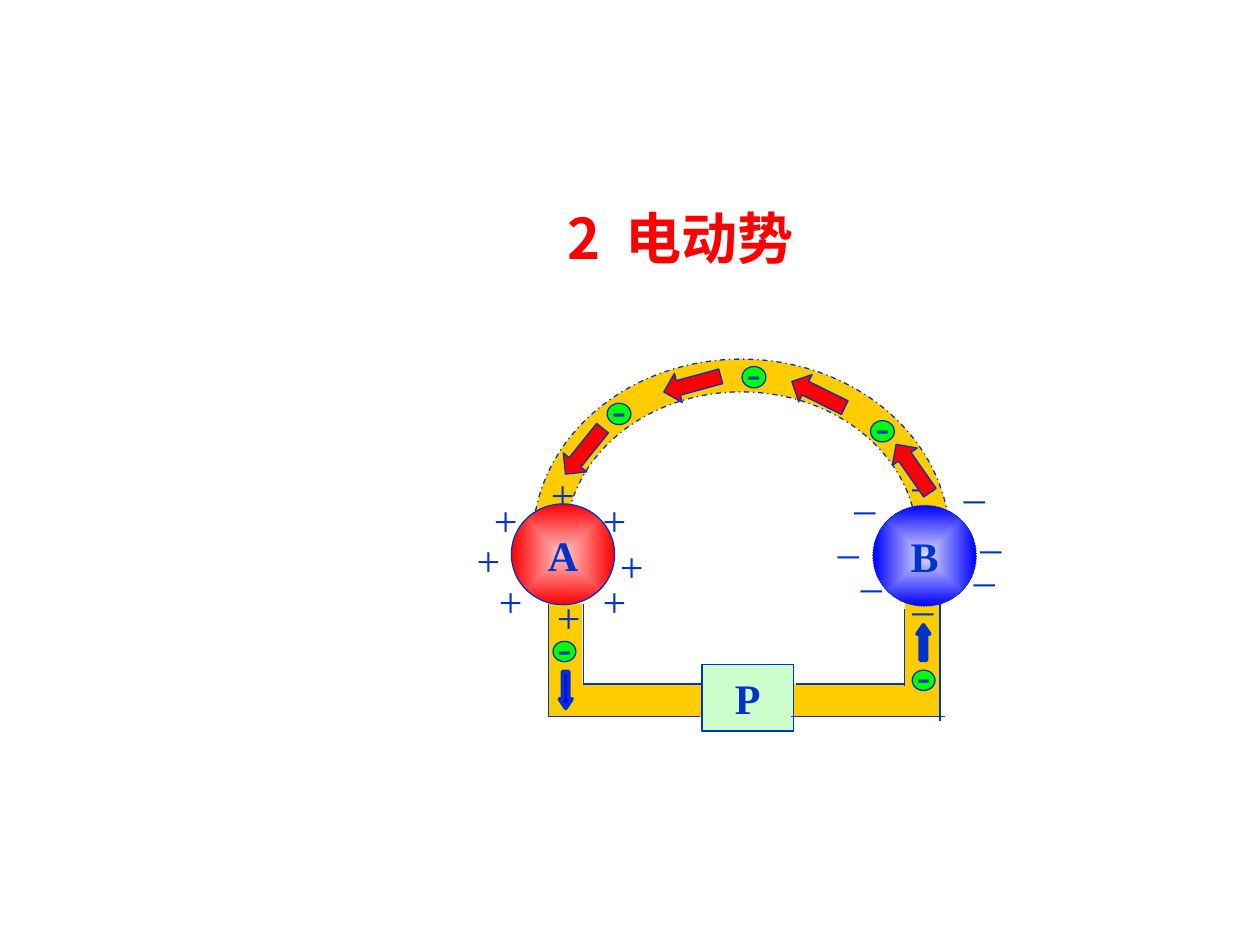
from dataclasses import dataclass

from lxml.etree import SubElement
from pptx import Presentation
from pptx.dml.color import RGBColor as RGB
from pptx.enum.dml import MSO_LINE as DASH
from pptx.enum.shapes import MSO_CONNECTOR as CONN, MSO_SHAPE as SHAPE
from pptx.enum.text import MSO_ANCHOR as ANCHOR, MSO_AUTO_SIZE as FIT, PP_ALIGN as ALIGN
from pptx.oxml.ns import qn
from pptx.util import Cm, Pt


@dataclass(frozen=True)
class Theme:
    ink: str = "0033CC"
    red: str = "FF0000"
    blue: str = "0000FF"
    wire: str = "FFCC00"
    charge: str = "00FF00"
    device: str = "CCFFCC"
    red_core: str = "FEC5C5"
    blue_core: str = "DEDEFE"
    title_font: str = "Noto Sans CJK SC"
    label_font: str = "Times New Roman"
    title_size: float = 32
    label_size: float = 24
    thin: float = 0.75
    thick: float = 2.25


def write(tf, text, *, font, size, color, bold=False, wrap=False, anchor=ANCHOR.TOP,
          fit=FIT.NONE, top=0.13, bottom=0.13, spacing=None):
    tf.word_wrap, tf.vertical_anchor, tf.auto_size = wrap, anchor, fit
    tf.margin_left = tf.margin_right = Cm(0.25)
    tf.margin_top, tf.margin_bottom = Cm(top), Cm(bottom)
    p = tf.paragraphs[0]
    p.alignment = ALIGN.CENTER
    p.line_spacing = spacing
    r = p.add_run()
    r.text = text
    r.font.name, r.font.size, r.font.bold = font, Pt(size), bold
    r.font.color.rgb = RGB.from_string(color)
    SubElement(r.font._element, qn("a:ea"), typeface=font)


class Diagram:
    def __init__(self, s, theme):
        self.s, self.theme = s, theme
        self.items = s.shapes

    def group(self):
        self.items = self.s.shapes.add_group_shape().shapes

    def ungroup(self):
        self.items = self.s.shapes

    def title(self, text, x, y, w, h):
        t = self.theme
        sp = self.s.shapes.title
        sp.left, sp.top, sp.width, sp.height = Cm(x), Cm(y), Cm(w), Cm(h)
        write(sp.text_frame, text, font=t.title_font, size=t.title_size, color=t.red,
              bold=True, wrap=True, fit=FIT.SHAPE_TO_FIT_TEXT, spacing=1.2)

    def shape(self, kind, x, y, w, h, fill, width=None, dash=None, turn=0, adj=()):
        sp = self.items.add_shape(kind, Cm(x), Cm(y), Cm(w), Cm(h))
        sp.shadow.inherit = False
        sp.rotation = turn
        sp.fill.solid()
        sp.fill.fore_color.rgb = RGB.from_string(fill)
        if width is None:
            sp.line.fill.background()
        else:
            sp.line.color.rgb = RGB.from_string(self.theme.ink)
            sp.line.width = Pt(width)
            sp.line.dash_style = dash
        for i, value in enumerate(adj):
            sp.adjustments[i] = value
        return sp

    def label(self, sp, text, **kw):
        t = self.theme
        write(sp.text_frame, text, font=t.label_font, size=t.label_size, color=t.ink, **kw)

    def sign(self, text, x, y, w):
        sp = self.items.add_textbox(Cm(x), Cm(y), Cm(w), Cm(1.27))
        self.label(sp, text)

    def line(self, x1, y1, x2, y2):
        c = self.items.add_connector(CONN.STRAIGHT, Cm(x1), Cm(y1), Cm(x2), Cm(y2))
        c.line.color.rgb = RGB.from_string(self.theme.ink)
        c.line.width = Pt(self.theme.thin)
        SubElement(c._element.spPr, qn("a:effectLst"))

    def electron(self, x, y, w, h):
        sp = self.shape(SHAPE.OVAL, x, y, w, h, self.theme.charge, self.theme.thin)
        self.label(sp, "-", anchor=ANCHOR.MIDDLE, top=-0.04, bottom=0.17)

    def ball(self, text, x, y, core, rim, dash=None):
        sp = self.shape(SHAPE.OVAL, x, y, 2.08, 2.03, rim, self.theme.thin, dash)
        sp.fill.gradient()
        for stop, color in zip(sp.fill.gradient_stops, (core, rim)):
            stop.color.rgb = RGB.from_string(color)
        grad = sp._element.spPr.find(qn("a:gradFill"))
        grad.remove(grad.find(qn("a:lin")))
        radial = SubElement(grad, qn("a:path"))
        radial.set("path", "rect")
        SubElement(radial, qn("a:fillToRect"), dict.fromkeys("ltrb", "50000"))
        self.label(sp, text, bold=True, anchor=ANCHOR.MIDDLE)

    def device(self, text, x, y, w, h):
        sp = self.shape(SHAPE.RECTANGLE, x, y, w, h, self.theme.device, self.theme.thin)
        self.label(sp, text, bold=True, anchor=ANCHOR.MIDDLE)


def main():
    prs = Presentation()
    prs.slide_width, prs.slide_height = Cm(25.4), Cm(19.05)
    t = Theme()
    d = Diagram(prs.slides.add_slide(prs.slide_layouts[5]), t)
    d.title("2  电动势", 4.93, 3.71, 17.58, 1.88)

    d.group()
    d.shape(SHAPE.BLOCK_ARC, 10.74, 7.24, 8.41, 7.34, t.wire, t.thin,
            DASH.DASH_DOT, adj=(113.01, 210.99, 0.09))

    left, left_in, right_in, right = 11.05, 11.76, 18.24, 18.95
    upper, lower, top = 13.79, 14.45, 12.17
    for x, y, w, h in [(left, upper, 3.1, 0.66), (15.98, upper, 2.97, 0.66),
                       (left, top, 0.69, 1.73), (right_in, 11.96, 0.69, 1.83)]:
        d.shape(SHAPE.RECTANGLE, x, y, w, h, t.wire)
    for ends in [(right_in, 12.27, right_in, 13.82), (right, 12.07, right, 14.53),
                 (16.05, upper, right_in, upper), (left, top, left, lower),
                 (left_in, upper, 14.15, upper), (left, lower, 14.12, lower),
                 (left_in, top, left_in, upper)]:
        d.line(*ends)
    for x, y in [(11.15, 12.93), (18.39, 13.51)]:
        d.electron(x, y, 0.46, 0.41)

    d.sign("+", 10.97, 11.79, 0.99)
    d.ball("A", 10.31, 10.16, t.red_core, t.red)
    for x, y in [(10.85, 9.32), (9.35, 10.64), (12.24, 10.77), (11.89, 11.48),
                 (9.8, 11.48), (9.7, 9.83), (11.89, 9.83)]:
        d.sign("+", x, y, 0.99)
    d.ball("B", 17.6, 10.19, t.blue_core, t.blue, DASH.ROUND_DOT)
    for x, y in [(19.43, 10.08), (19.3, 10.74), (19.1, 9.07), (16.56, 10.19),
                 (18.06, 11.33), (17.02, 10.87), (18.06, 8.84), (16.89, 9.3)]:
        d.sign("_", x, y, 1.09)

    d.device("P", 14.15, 13.39, 1.85, 1.35)
    d.line(15.95, lower, 19.05, lower)
    for x, y in [(14.96, 7.39), (12.24, 8.13), (17.55, 8.48)]:
        d.electron(x, y, 0.48, 0.43)
    for x, y, turn in [(15.9, 7.65, 26.3), (11.18, 8.79, 308.9),
                       (17.81, 9.14, 55), (13.36, 7.44, 344.7)]:
        d.shape(SHAPE.LEFT_ARROW, x, y, 1.19, 0.61, t.red, t.thin, turn=turn, adj=(0.5, 0.5))

    d.ungroup()
    d.shape(SHAPE.DOWN_ARROW, 11.28, 13.54, 0.25, 0.74, t.blue, t.thick, adj=(0.5, 0.75))
    d.shape(SHAPE.UP_ARROW, 18.49, 12.6, 0.25, 0.71, t.ink, t.thick, adj=(0.5, 0.72))
    prs.save("out.pptx")


if __name__ == "__main__":
    main()
